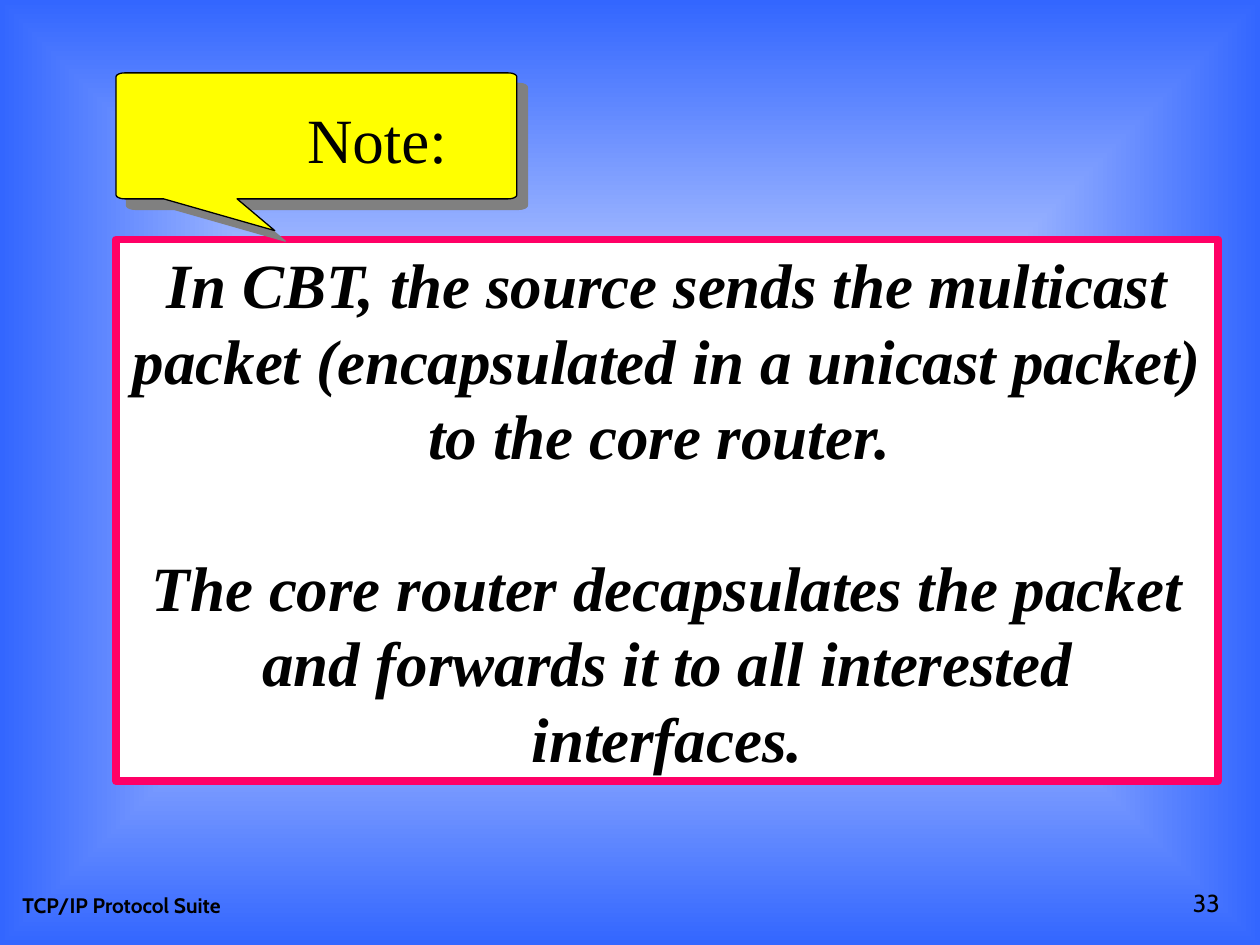
from math import cos, pi, sin

from lxml.etree import fromstring
from pptx import Presentation
from pptx.dml.color import RGBColor
from pptx.enum.shapes import MSO_SHAPE as Shape
from pptx.enum.text import MSO_ANCHOR as Anchor, PP_ALIGN as Align
from pptx.util import Cm, Pt

BLACK = RGBColor(0x00, 0x00, 0x00)
WHITE = RGBColor(0xFF, 0xFF, 0xFF)
GREY = RGBColor(0x80, 0x80, 0x80)
BLUE = RGBColor(0x33, 0x66, 0xFF)
YELLOW = RGBColor(0xFF, 0xFF, 0x00)
PINK = RGBColor(0xFF, 0x00, 0x66)
SERIF, SANS = "Times New Roman", "Cabin"
NS = 'xmlns:a="http://schemas.openxmlformats.org/drawingml/2006/main"'


def set_background(s, centre, edge):
    """Fill the slide with a rectangular gradient from its centre to its edges."""
    fill = s.background.fill
    fill.solid()
    fill.fore_color.rgb = edge
    bg_pr = s.background._cSld.bg.bgPr
    bg_pr.replace(bg_pr[0], fromstring(
        f'<a:gradFill {NS} rotWithShape="1"><a:gsLst>'
        f'<a:gs pos="0"><a:srgbClr val="{centre}"/></a:gs>'
        f'<a:gs pos="100000"><a:srgbClr val="{edge}"/></a:gs></a:gsLst>'
        '<a:path path="rect"><a:fillToRect l="50000" t="50000" r="50000" b="50000"/>'
        '</a:path></a:gradFill>'))


def paint(sp, fill, line, width):
    sp.shadow.inherit = False
    sp.fill.solid()
    sp.fill.fore_color.rgb = fill
    sp.line.color.rgb = line
    sp.line.width = Pt(width)


def add_run(p, text, font, size, bold=False, italic=False):
    r = p.add_run()
    r.text = text
    r.font.name, r.font.size = font, Pt(size)
    r.font.bold, r.font.italic = bold, italic
    r.font.color.rgb = BLACK


def add_text(s, box, text, font, size, bold=False, align=Align.LEFT, anchor=Anchor.TOP):
    tf = s.shapes.add_textbox(*map(Cm, box)).text_frame
    tf.word_wrap = True
    tf.vertical_anchor = anchor
    p = tf.paragraphs[0]
    p.alignment = align
    add_run(p, text, font, size, bold)


def add_statement(s, box, paragraphs):
    size, leading = 36, Pt(43.2)
    sp = s.shapes.add_shape(Shape.RECTANGLE, *map(Cm, box))
    paint(sp, WHITE, PINK, 4.5)
    tf = sp.text_frame
    tf.word_wrap = True
    tf.vertical_anchor = Anchor.TOP
    for i, text in enumerate(paragraphs):
        p = tf.add_paragraph() if i else tf.paragraphs[0]
        p.alignment = Align.CENTER
        p.line_spacing = leading
        if i:
            p.space_before = leading
        add_run(p, text, SERIF, size, bold=True, italic=True)


def add_callout(s, left, top, width, height, pointer):
    """Draw a rounded box whose bottom edge runs out to a pointer."""
    rx, ry, steps = 0.18, 0.08, 6
    right, bottom = left + width, top + height

    def corner(cx, cy, quarter):
        angles = [(quarter + i / steps) * pi / 2 for i in range(steps + 1)]
        return [(cx + rx * cos(a), cy + ry * sin(a)) for a in angles]

    points = (corner(right - rx, bottom - ry, 0)
              + pointer
              + corner(left + rx, bottom - ry, 1)
              + corner(left + rx, top + ry, 2)
              + corner(right - rx, top + ry, 3))
    outline = [(Cm(x), Cm(y)) for x, y in points]
    builder = s.shapes.build_freeform(*outline[0])
    builder.add_line_segments(outline[1:], close=True)
    sp = builder.convert_to_shape()
    paint(sp, YELLOW, BLACK, 0.75)
    effects = sp._element.spPr.find("{*}effectLst")
    effects.append(fromstring(
        f'<a:outerShdw {NS} dist="{Pt(8.5)}" dir="{45 * 60000}" algn="ctr" '
        f'rotWithShape="0"><a:srgbClr val="{GREY}"/></a:outerShdw>'))


def main():
    prs = Presentation()
    prs.slide_width, prs.slide_height = Cm(25.4), Cm(19.05)
    s = prs.slides.add_slide(prs.slide_layouts[6])
    set_background(s, WHITE, BLUE)
    add_statement(s, (2.34, 4.83, 22.22, 10.92), [
        "In CBT, the source sends the multicast packet "
        "(encapsulated in a unicast packet) to the core router. ",
        "The core router decapsulates the packet and forwards it "
        "to all interested interfaces.",
    ])
    add_callout(s, 2.34, 1.47, 8.08, 2.54,
                pointer=[(4.78, 4.01), (5.54, 4.65), (3.3, 4.01)])
    add_text(s, (5.94, 1.91, 3.33, 1.78), "Note:", SERIF, 36)
    add_text(s, (0.2, 17.35, 8.05, 1.27), "TCP/IP Protocol Suite", SANS, 12,
             bold=True, anchor=Anchor.BOTTOM)
    add_text(s, (19.56, 17.35, 5.28, 1.27), "33", SANS, 14,
             align=Align.RIGHT, anchor=Anchor.BOTTOM)
    prs.save("out.pptx")


if __name__ == "__main__":
    main()
